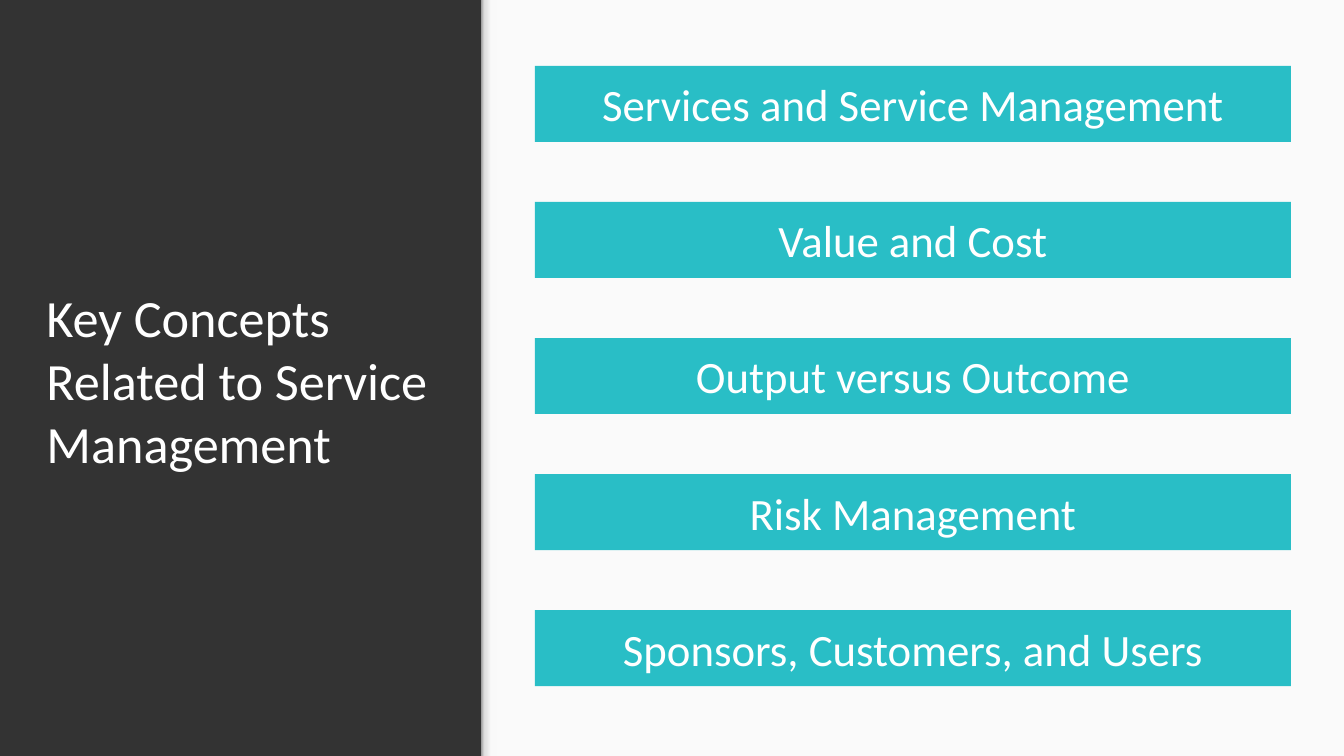
"""Build a slide with a dark title panel and five key concept bars."""
from lxml.etree import SubElement
from pptx import Presentation
from pptx.dml.color import RGBColor
from pptx.enum.shapes import MSO_SHAPE
from pptx.enum.text import MSO_ANCHOR, MSO_AUTO_SIZE, PP_ALIGN
from pptx.oxml.ns import qn
from pptx.util import Emu, Inches, Pt

COLORS = {"panel": "333333", "paper": "FAFAFA", "bar": "29BEC6", "text": "FFFFFF"}
EDGE_STOPS = {0: "999999", 20: "DEDEDE", 64: "F9F9F9", 100: "F9F9F9"}
CONCEPTS = [
    "Services and Service Management",
    "Value and Cost",
    "Output versus Outcome",
    "Risk Management",
    "Sponsors, Customers, and Users",
]

deck = Presentation()
deck.slide_width, deck.slide_height = Inches(20), Emu(10282238)
column, row = deck.slide_width / 100, deck.slide_height / 100
page = deck.slides.add_slide(deck.slide_layouts[5])
page.background.fill.solid()
page.background.fill.fore_color.rgb = RGBColor.from_string(COLORS["panel"])


def add_block(left, top, width, height, color):
    block = page.shapes.add_shape(
        MSO_SHAPE.RECTANGLE,
        round(left * column), round(top * row), round(width * column), round(height * row),
    )
    block.shadow.inherit = False
    block.line.fill.background()
    block.fill.solid()
    block.fill.fore_color.rgb = RGBColor.from_string(color)
    return block


def write(shape, text, size, alignment, anchor):
    frame = shape.text_frame
    frame.word_wrap = True
    frame.auto_size = MSO_AUTO_SIZE.NONE
    frame.vertical_anchor = anchor
    frame.margin_left = frame.margin_right = Inches(0.2)
    frame.margin_top = frame.margin_bottom = Inches(0.2)
    para = frame.paragraphs[0]
    para.alignment = alignment
    span = para.add_run()
    span.text = text
    span.font.name = "Calibri"
    span.font.size = Pt(size)
    span.font.color.rgb = RGBColor.from_string(COLORS["text"])


add_block(35.85, 0, 64.15, 100, COLORS["paper"])

edge = add_block(35.8, 0, 1.2, 100, COLORS["paper"])
edge.fill.gradient()
edge.fill.gradient_angle = 0
stop_list = next(edge.element.iter(qn("a:gsLst")))
for stop in list(stop_list):
    stop_list.remove(stop)
for position, color in EDGE_STOPS.items():
    stop = SubElement(stop_list, qn("a:gs"), pos=str(position * 1000))
    SubElement(stop, qn("a:srgbClr"), val=color)

title = page.shapes.title
title.left, title.top = round(2.45 * column), round(35.68 * row)
title.width, title.height = round(30.7 * column), round(28.74 * row)
write(title, "Key Concepts Related to Service Management", 56, PP_ALIGN.LEFT, MSO_ANCHOR.BOTTOM)

for index, concept in enumerate(CONCEPTS):
    bar = add_block(39.8, 8.72 + 18 * index, 56.25, 10.05, COLORS["bar"])
    write(bar, concept, 48, PP_ALIGN.CENTER, MSO_ANCHOR.MIDDLE)

deck.save("out.pptx")
